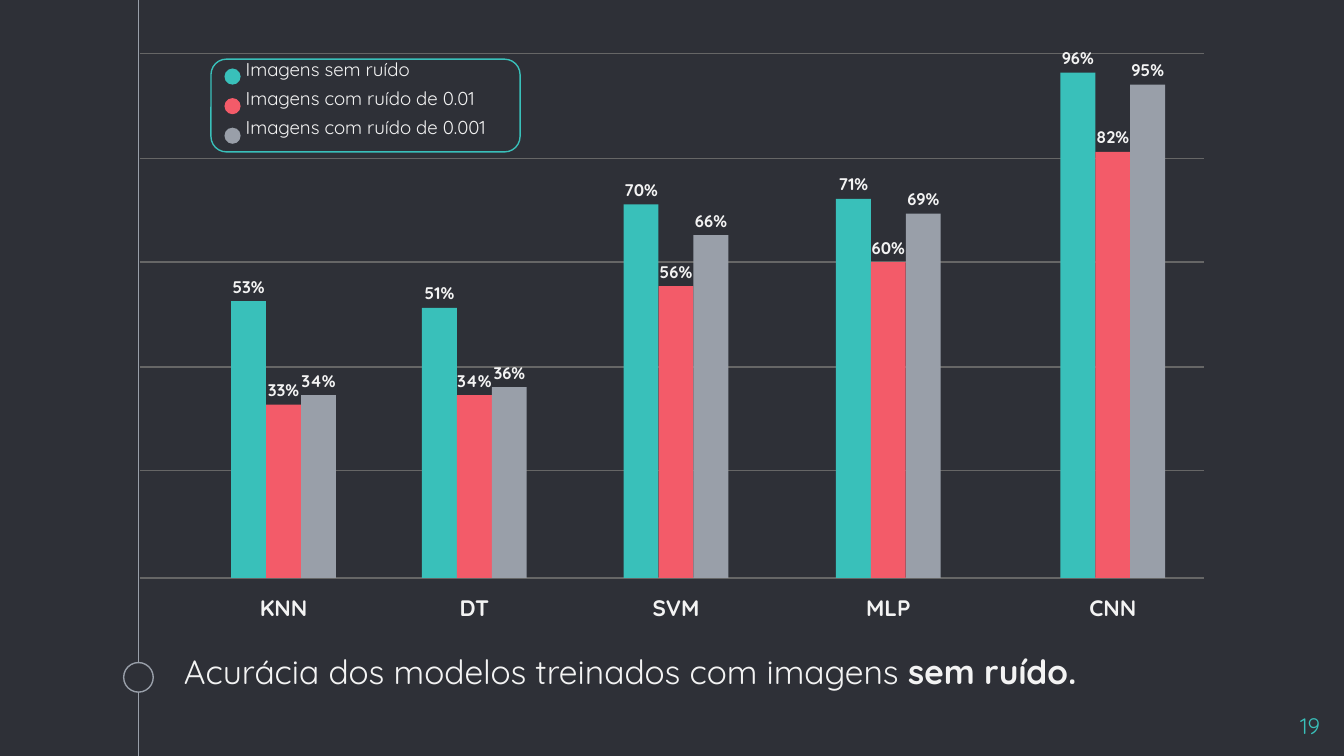
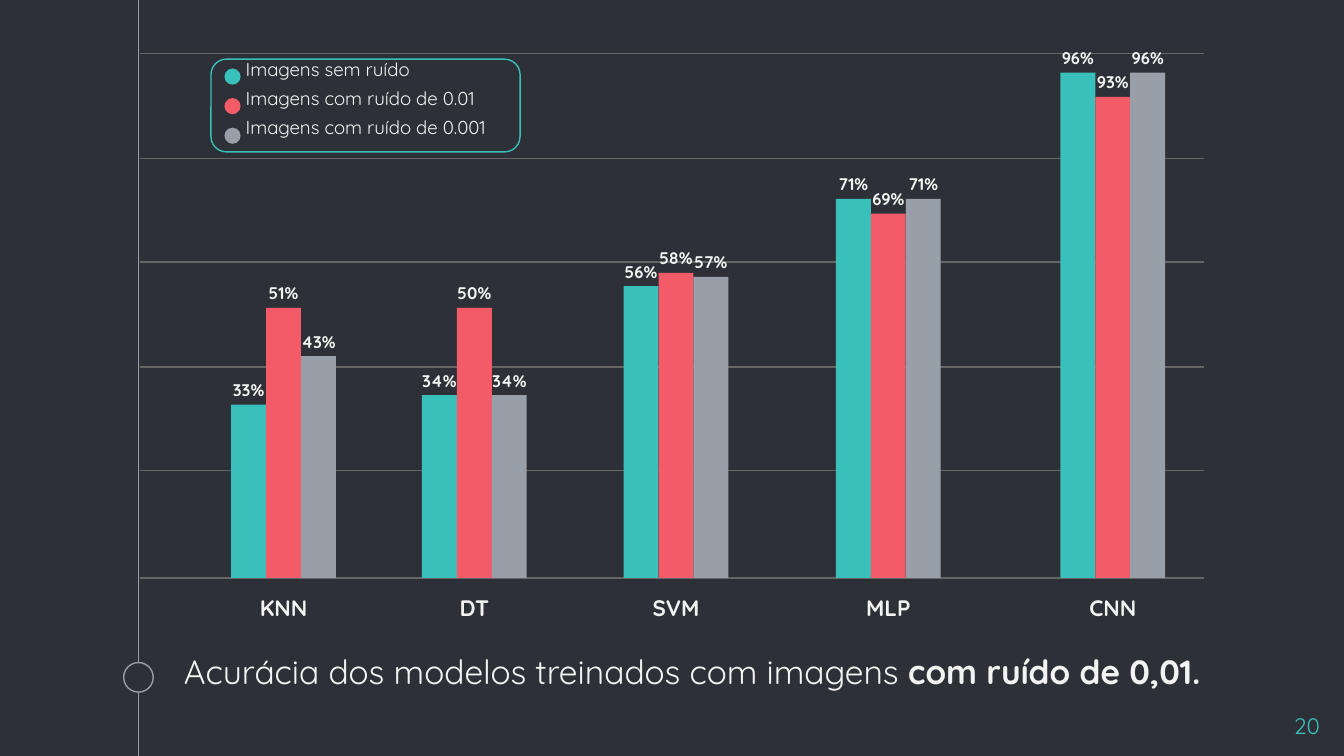
from pptx import Presentation
from pptx import util as u
from pptx.dml.color import RGBColor
from pptx.enum import shapes, text
from pptx.oxml.ns import qn
from lxml import etree

DARK = RGBColor(0x2E, 0x30, 0x37)
TEAL = RGBColor(0x39, 0xC0, 0xBA)
RED = RGBColor(0xF3, 0x5B, 0x69)
GREY = RGBColor(0x99, 0x9F, 0xA9)
RULE = RGBColor(0x66, 0x66, 0x66)
PALE = RGBColor(0xF3, 0xF3, 0xF3)
FONT = "Quicksand"
FORM = shapes.MSO_SHAPE
ALIGN = text.PP_ALIGN

BASE = 4.3
BAR = 0.26
GRID = (0.4, 1.18, 1.95, 2.73, 3.5, BASE)
MODELS = {"KNN": 1.72, "DT": 3.14, "SVM": 4.64, "MLP": 6.22, "CNN": 7.89}
SERIES = (
    ("Imagens sem ruído", TEAL),
    ("Imagens com ruído de 0.01", RED),
    ("Imagens com ruído de 0.001", GREY),
)
# Bar height in inches for each percentage
TALL = {
    33: 1.29, 34: 1.36, 36: 1.42, 43: 1.65, 50: 2.01, 51: 2.01, 53: 2.06,
    56: 2.17, 57: 2.24, 58: 2.27, 60: 2.35, 66: 2.55, 69: 2.71, 70: 2.78,
    71: 2.82, 82: 3.17, 93: 3.58, 95: 3.67, 96: 3.76,
}
# Page number, bold end of the caption, scores per model in series order
PAGES = (
    (19, "sem ruído.",
     ((53, 33, 34), (51, 34, 36), (70, 56, 66), (71, 60, 69), (96, 82, 95))),
    (20, "com ruído de 0,01.",
     ((33, 51, 43), (34, 50, 34), (56, 58, 57), (71, 69, 71), (96, 93, 96))),
)


class Deck:
    """Holds the presentation, its style and the current slide."""

    def __init__(self):
        self.prs = Presentation()
        self.prs.slide_width = u.Inches(10)
        self.prs.slide_height = u.Inches(5.625)
        self.slide = None

    def page(self, num):
        """Start a slide with its background, timeline and page number."""
        self.slide = self.prs.slides.add_slide(self.prs.slide_layouts[6])
        fill = self.slide.background.fill
        fill.solid()
        fill.fore_color.rgb = DARK
        self.line(1.03, 0, 1.03, 5.625, GREY)
        self.shape(FORM.OVAL, 0.92, 4.93, 0.22, 0.22, DARK, GREY)
        self.text(9.32, 5.2, 0.6, 0.34, [[(str(num), False)]], 12,
                  color=TEAL, align=ALIGN.RIGHT)

    def line(self, x1, y1, x2, y2, color):
        rule = self.slide.shapes.add_connector(
            shapes.MSO_CONNECTOR.STRAIGHT,
            *(u.Inches(n) for n in (x1, y1, x2, y2)))
        rule.line.color.rgb = color
        rule.line.width = u.Pt(0.75)
        props = rule._element.find(qn("p:spPr"))
        etree.SubElement(props, qn("a:effectLst"))

    def shape(self, form, x, y, w, h, fill, edge=None):
        item = self.slide.shapes.add_shape(
            form, *(u.Inches(n) for n in (x, y, w, h)))
        item.shadow.inherit = False
        item.fill.solid()
        item.fill.fore_color.rgb = fill
        if edge is None:
            item.line.fill.background()
        else:
            item.line.color.rgb = edge
            item.line.width = u.Pt(0.75)
        return item

    def text(self, x, y, w, h, paras, size, color=PALE, align=ALIGN.LEFT,
             space=0, grow=False):
        """Add a text box; each paragraph is a list of (words, bold) runs."""
        box = self.slide.shapes.add_textbox(
            *(u.Inches(n) for n in (x, y, w, h)))
        frame = box.text_frame
        frame.word_wrap = True
        frame.margin_left = frame.margin_right = u.Inches(0.1)
        frame.margin_top = frame.margin_bottom = u.Inches(0.1)
        if grow:
            frame.auto_size = text.MSO_AUTO_SIZE.SHAPE_TO_FIT_TEXT
        for i, runs in enumerate(paras):
            para = frame.add_paragraph() if i else frame.paragraphs[0]
            para.alignment = align
            para.space_before = u.Pt(space)
            for words, bold in runs:
                run = para.add_run()
                run.text = words
                run.font.name = FONT
                run.font.size = u.Pt(size)
                run.font.bold = bold
                run.font.color.rgb = color

    def label(self, x, y, w, h, words, size, space=0):
        self.text(x, y, w, h, [[(words, True)]], size,
                  align=ALIGN.CENTER, space=space, grow=True)

    def legend(self):
        frame = self.shape(FORM.ROUNDED_RECTANGLE, 1.57, 0.44, 2.3, 0.69,
                           DARK, TEAL)
        frame.adjustments[0] = 0.167
        self.text(1.73, 0.33, 2.16, 0.64,
                  [[(name, False)] for name, _ in SERIES], 10, space=3.6)
        for i, (_, color) in enumerate(SERIES):
            self.shape(FORM.OVAL, 1.67, 0.51 + 0.22 * i, 0.12, 0.12, color)

    def bars(self, scores):
        """Draw the grid, then the columns, model names and percentages."""
        for y in GRID:
            self.line(1.04, y, 8.96, y, RULE)
        for (model, left), group in zip(MODELS.items(), scores):
            for i, (score, (_, color)) in enumerate(zip(group, SERIES)):
                x = left + BAR * i
                top = BASE - TALL[score]
                self.shape(FORM.RECTANGLE, x, top, BAR, TALL[score], color)
            self.label(left, 4.32, 3 * BAR, 0.4, model, 12, space=3.6)
            for i, score in enumerate(group):
                self.label(left + BAR * i - 0.17, BASE - TALL[score] - 0.26,
                           0.6, 0.35, f"{score}%", 9)

    def caption(self, end):
        self.text(1.27, 4.74, 8.23, 0.47,
                  [[("Acurácia dos modelos treinados com imagens ", False),
                    (end, True)]], 18, space=3.6)


def main():
    deck = Deck()
    for num, end, scores in PAGES:
        deck.page(num)
        deck.caption(end)
        deck.bars(scores)
        deck.legend()
    deck.prs.save("out.pptx")


if __name__ == "__main__":
    main()
